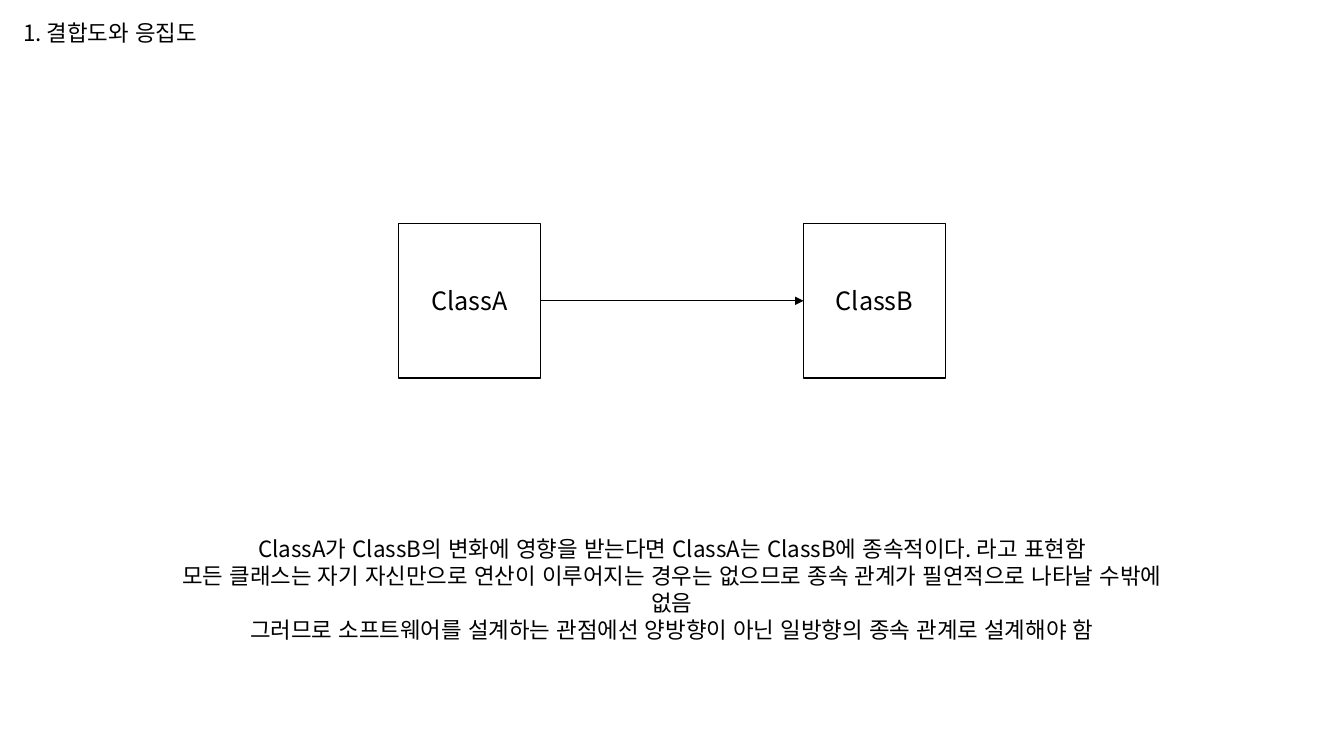
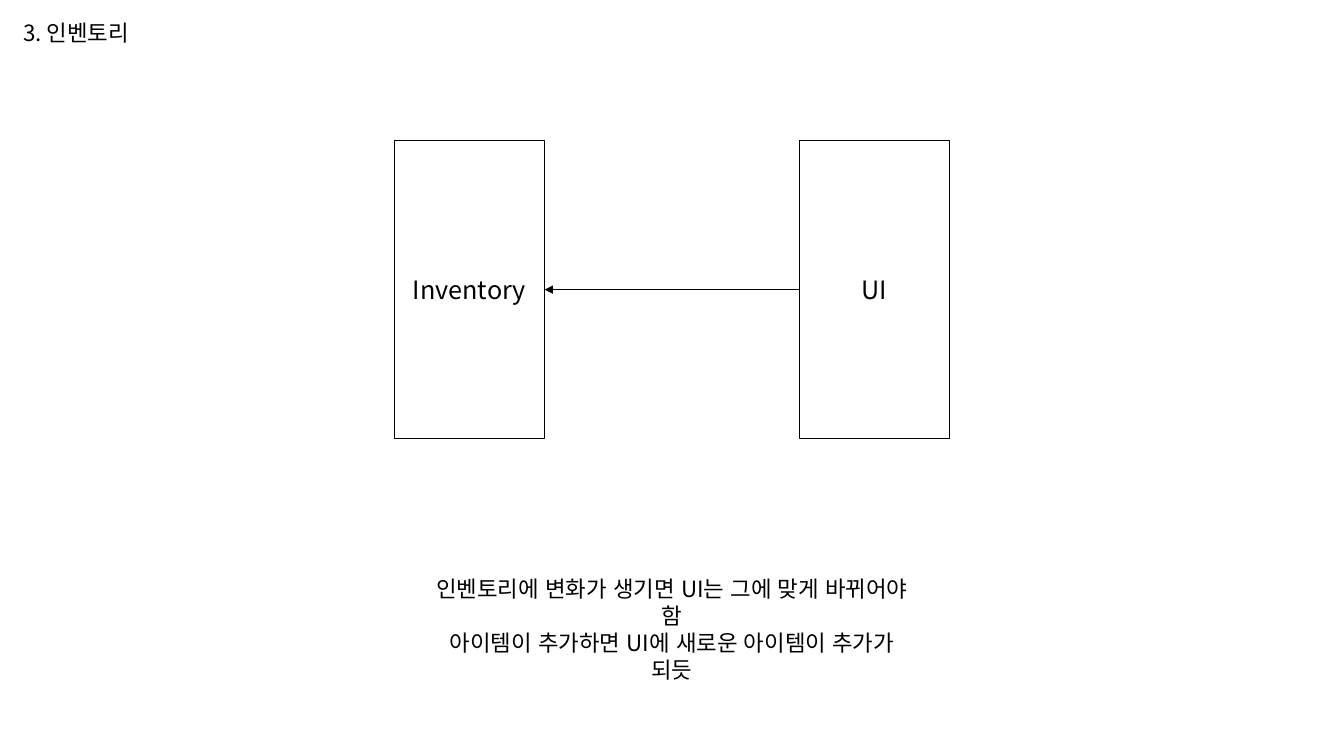
from dataclasses import dataclass

from lxml import etree
from pptx import Presentation
from pptx.dml.color import RGBColor
from pptx.enum import dml, lang, shapes, text
from pptx.oxml import ns
from pptx.util import Length, Pt


@dataclass(frozen=True)
class Theme:
    font: str = "Noto Sans CJK KR"
    ink: RGBColor = RGBColor(0, 0, 0)
    paper: RGBColor = RGBColor(255, 255, 255)
    body_size: Length = Pt(16)
    box_size: Length = Pt(18)
    box_line: Length = Pt(1)
    arrow_line: Length = Pt(0.5)


@dataclass(frozen=True)
class Dependency:
    """A slide with two boxes; lengths are in points, caption paragraphs hold lines."""
    title: str
    title_width: float
    boxes: tuple[str, str]
    box_top: float
    box_width: float
    box_height: float
    points_right: bool
    caption: tuple[tuple[str, ...], ...]
    caption_top: float
    caption_width: float


THEME = Theme()
SLIDE_WIDTH, SLIDE_HEIGHT = 960, 540
CENTER = SLIDE_WIDTH / 2
BOX_OFFSET = 144.7
LEFT_SITE, RIGHT_SITE = 1, 3

DEPENDENCIES = (
    Dependency(
        title="1. 결합도와 응집도", title_width=141.8,
        boxes=("ClassA", "ClassB"), box_top=159.8, box_width=101.5, box_height=110.2,
        points_right=True,
        caption=(
            ("ClassA가 ClassB의 변화에 영향을 받는다면 ClassA는 ClassB에 종속적이다. 라고 표현함",
             "모든 클래스는 자기 자신만으로 연산이 이루어지는 경우는 없으므로 "
             "종속 관계가 필연적으로 나타날 수밖에 없음"),
            ("그러므로 소프트웨어를 설계하는 관점에선 양방향이 아닌 일방향의 종속 관계로 설계해야 함",),
        ),
        caption_top=378.7, caption_width=730,
    ),
    Dependency(
        title="3. 인벤토리", title_width=90,
        boxes=("Inventory", "UI"), box_top=100.6, box_width=107.4, box_height=212.6,
        points_right=False,
        caption=(
            ("인벤토리에 변화가 생기면 UI는 그에 맞게 바뀌어야 함",),
            ("아이템이 추가하면 UI에 새로운 아이템이 추가가 되듯",),
        ),
        caption_top=407.5, caption_width=365,
    ),
)


def add_run(paragraph, words: str, size: Length) -> None:
    run = paragraph.add_run()
    run.text = words
    run.font.size = size
    run.font.language_id = lang.MSO_LANGUAGE_ID.KOREAN
    run.font.color.rgb = THEME.ink
    run.font.name = THEME.font
    east_asian = etree.SubElement(run.font._element, ns.qn("a:ea"))
    east_asian.set("typeface", THEME.font)


def write(shape, paragraphs: tuple[tuple[str, ...], ...], size: Length,
          alignment: text.PP_ALIGN, anchor: text.MSO_ANCHOR) -> None:
    frame = shape.text_frame
    frame.word_wrap = True
    frame.auto_size = text.MSO_AUTO_SIZE.NONE
    frame.vertical_anchor = anchor
    for index, lines in enumerate(paragraphs):
        paragraph = frame.add_paragraph() if index else frame.paragraphs[0]
        paragraph.alignment = alignment
        for line_index, line in enumerate(lines):
            if line_index:
                paragraph.add_line_break()
            add_run(paragraph, line, size)


def place_title(slide, words: str, width: float) -> None:
    title = slide.shapes.title
    title.left, title.top, title.width, title.height = Pt(9.4), Pt(10), Pt(width), Pt(26.6)
    write(title, ((words,),), THEME.body_size, text.PP_ALIGN.LEFT, text.MSO_ANCHOR.TOP)


def add_caption(slide, dependency: Dependency) -> None:
    width = dependency.caption_width
    line_count = sum(len(lines) for lines in dependency.caption)
    caption = slide.shapes.add_textbox(
        Pt(CENTER - width / 2), Pt(dependency.caption_top),
        Pt(width), Pt(7.2 + 19.4 * line_count))
    write(caption, dependency.caption, THEME.body_size,
          text.PP_ALIGN.CENTER, text.MSO_ANCHOR.TOP)


def add_box(slide, label: str, middle: float, dependency: Dependency):
    box = slide.shapes.add_shape(
        shapes.MSO_SHAPE.RECTANGLE,
        Pt(middle - dependency.box_width / 2), Pt(dependency.box_top),
        Pt(dependency.box_width), Pt(dependency.box_height))
    box.shadow.inherit = False
    box.fill.solid()
    box.fill.fore_color.rgb = THEME.paper
    box.line.color.rgb = THEME.ink
    box.line.width = THEME.box_line
    write(box, ((label,),), THEME.box_size, text.PP_ALIGN.CENTER, text.MSO_ANCHOR.MIDDLE)
    return box


def add_arrow(slide, left_box, right_box, points_right: bool) -> None:
    ends = [(left_box, RIGHT_SITE), (right_box, LEFT_SITE)]
    start, end = ends if points_right else reversed(ends)
    arrow = slide.shapes.add_connector(shapes.MSO_CONNECTOR.STRAIGHT, 0, 0, 0, 0)
    arrow.begin_connect(*start)
    arrow.end_connect(*end)
    arrow.line.color.rgb = THEME.ink
    arrow.line.width = THEME.arrow_line
    arrow.line.dash_style = dml.MSO_LINE.SOLID
    properties = arrow._element.spPr
    etree.SubElement(properties.find(ns.qn("a:ln")), ns.qn("a:tailEnd")).set("type", "triangle")
    etree.SubElement(properties, ns.qn("a:effectLst"))


def add_dependency_slide(presentation, dependency: Dependency) -> None:
    layout = presentation.slide_layouts.get_by_name("Title Only")
    slide = presentation.slides.add_slide(layout)
    place_title(slide, dependency.title, dependency.title_width)
    add_caption(slide, dependency)
    middles = (CENTER - BOX_OFFSET, CENTER + BOX_OFFSET)
    left_box, right_box = [
        add_box(slide, label, middle, dependency)
        for label, middle in zip(dependency.boxes, middles)]
    add_arrow(slide, left_box, right_box, dependency.points_right)


def main() -> None:
    presentation = Presentation()
    presentation.slide_width, presentation.slide_height = Pt(SLIDE_WIDTH), Pt(SLIDE_HEIGHT)
    for dependency in DEPENDENCIES:
        add_dependency_slide(presentation, dependency)
    presentation.save("out.pptx")


if __name__ == "__main__":
    main()
